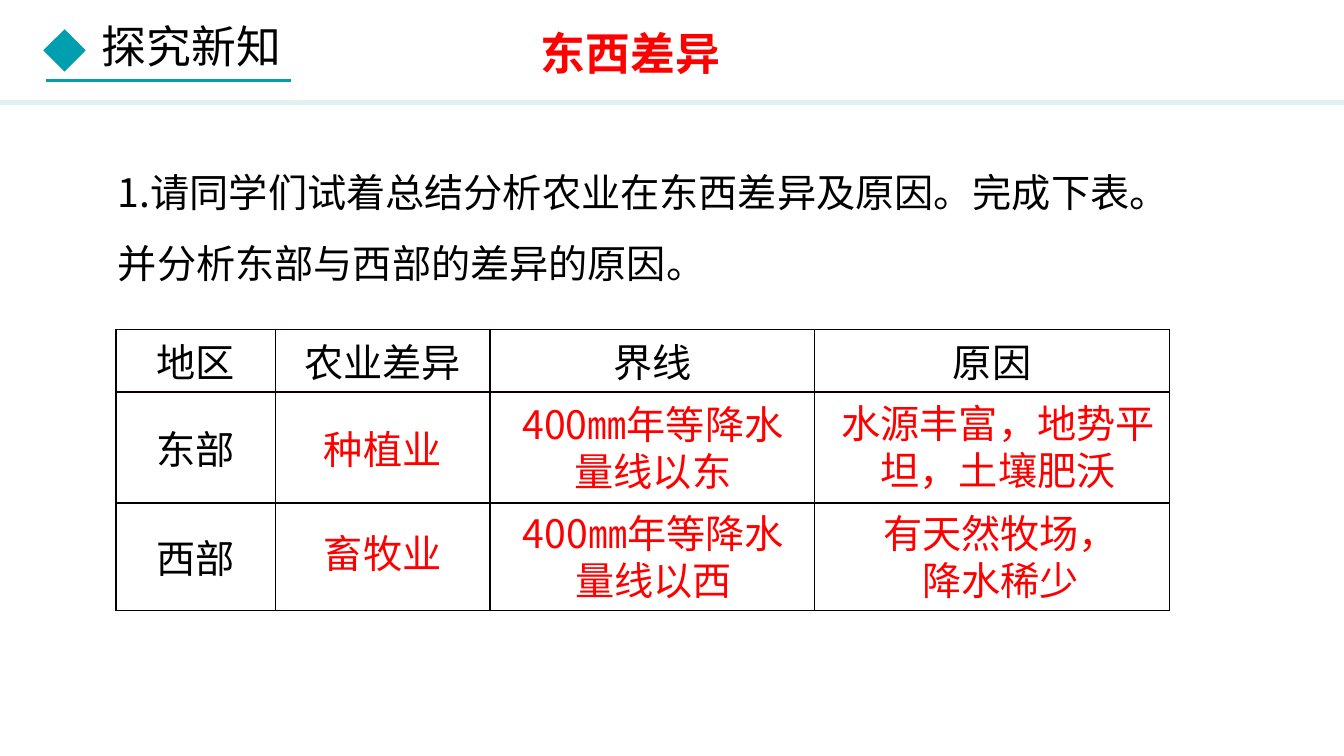
from dataclasses import dataclass
from lxml.etree import SubElement
from pptx import Presentation
from pptx.dml.color import RGBColor
from pptx.enum.shapes import MSO_CONNECTOR, MSO_SHAPE
from pptx.enum.text import MSO_ANCHOR, MSO_AUTO_SIZE, PP_ALIGN
from pptx.oxml.ns import qn
from pptx.util import Inches, Pt


@dataclass(frozen=True)
class Theme:
    font: str = "Noto Sans CJK SC"
    ink: str = "000000"
    red: str = "FF0000"
    teal: str = "009FB0"
    pale: str = "E0F1EF"
    grid: str = "080000"
    head: int = 32
    text: int = 28


theme = Theme()


def write(frame, words, size, color, bold=False, align=PP_ALIGN.CENTER):
    """Put one styled run in the first paragraph of a frame."""
    para = frame.paragraphs[0]
    para.alignment = align
    run = para.add_run()
    run.text = words
    font = run.font
    font.name, font.size, font.bold = theme.font, Pt(size), bold
    font.color.rgb = RGBColor.from_string(color)
    SubElement(font._element, qn("a:ea"), typeface=theme.font)
    return para


def place(box, left, top, width, height):
    """Set a text shape's position and its wrapping rules."""
    box.left, box.top = Inches(left), Inches(top)
    box.width, box.height = Inches(width), Inches(height)
    frame = box.text_frame
    frame.word_wrap = True
    frame.auto_size = MSO_AUTO_SIZE.SHAPE_TO_FIT_TEXT
    frame.vertical_anchor = MSO_ANCHOR.TOP
    return frame


deck = Presentation()
deck.slide_width, deck.slide_height = Inches(13.33), Inches(7.5)
slide = deck.slides.add_slide(deck.slide_layouts[1])
shapes = slide.shapes
title, body = slide.placeholders

# Section label with diamond
label = shapes.add_textbox(0, 0, 0, 0)
frame = place(label, 0.91, 0.14, 2.41, 0.64)
write(frame, "探究新知", theme.head, theme.ink, align=PP_ALIGN.LEFT)
mark = shapes.add_shape(MSO_SHAPE.DIAMOND, Inches(0.43), Inches(0.29),
                        Inches(0.42), Inches(0.42))
mark.shadow.inherit = False
mark.fill.solid()
mark.fill.fore_color.rgb = RGBColor.from_string(theme.teal)
mark.line.fill.background()

# Header rules
for start, end, top, color, width in (
        (0.46, 2.89, 0.8, theme.teal, 2.5),
        (0, 13.33, 1.02, theme.pale, 3.5)):
    rule = shapes.add_connector(MSO_CONNECTOR.STRAIGHT, Inches(start),
                                Inches(top), Inches(end), Inches(top))
    rule.line.color.rgb = RGBColor.from_string(color)
    rule.line.width = Pt(width)
    SubElement(rule._element.spPr, qn("a:effectLst"))

# Title
frame = place(title, 3.38, 0.2, 5.75, 0.64)
write(frame, "东西差异", theme.head, theme.red, bold=True)

# Question
frame = place(body, 1.07, 1.39, 10.46, 1.51)
props = frame.paragraphs[0]._p.get_or_add_pPr()
props.set("marL", "0")
props.set("indent", "0")
SubElement(props, qn("a:buNone"))
para = write(frame, "1.请同学们试着总结分析农业在东西差异及原因。完成下表。"
             "并分析东部与西部的差异的原因。",
             theme.text, theme.ink, align=PP_ALIGN.LEFT)
para.line_spacing = 1.5
para.space_before = Pt(0)

# Table
cols = (1.58, 2.13, 3.22, 3.52)
rows = (0.62, 1.1, 1.07)
names = (("地区", "农业差异", "界线", "原因"), ("东部",), ("西部",))
table = shapes.add_table(len(rows), len(cols), Inches(1.15), Inches(3.27),
                         Inches(sum(cols)), Inches(sum(rows))).table
table.first_row = table.horz_banding = False
for col, width in zip(table.columns, cols):
    col.width = Inches(width)
for row, height in zip(table.rows, rows):
    row.height = Inches(height)
for cell in table.iter_cells():
    cell.margin_left = cell.margin_right = Inches(0.07)
    cell.margin_top = cell.margin_bottom = 0
    cell.vertical_anchor = MSO_ANCHOR.MIDDLE
    props = cell._tc.get_or_add_tcPr()
    for side in ("lnL", "lnR", "lnT", "lnB"):
        edge = SubElement(props, qn(f"a:{side}"), w=str(Pt(1)))
        fill = SubElement(edge, qn("a:solidFill"))
        SubElement(fill, qn("a:srgbClr"), val=theme.grid)
    cell.fill.background()
for r, line in enumerate(names):
    for c, name in enumerate(line):
        write(table.cell(r, c).text_frame, name, theme.text, theme.ink)

# Answers over the table
for words, *spot in (
        ("种植业", 3.02, 4.17, 1.55, 0.57),
        ("畜牧业", 3.07, 5.2, 1.45, 0.57),
        ("400㎜年等降水量线以东", 4.9, 3.92, 3.15, 1.04),
        ("400㎜年等降水量线以西", 4.9, 5, 3.16, 1.04),
        ("水源丰富，地势平坦，土壤肥沃", 8.2, 3.91, 3.4, 1.04),
        ("有天然牧场，降水稀少", 8.56, 5, 2.73, 1.04)):
    frame = place(shapes.add_textbox(0, 0, 0, 0), *spot)
    write(frame, words, theme.text, theme.red)

deck.save("out.pptx")
